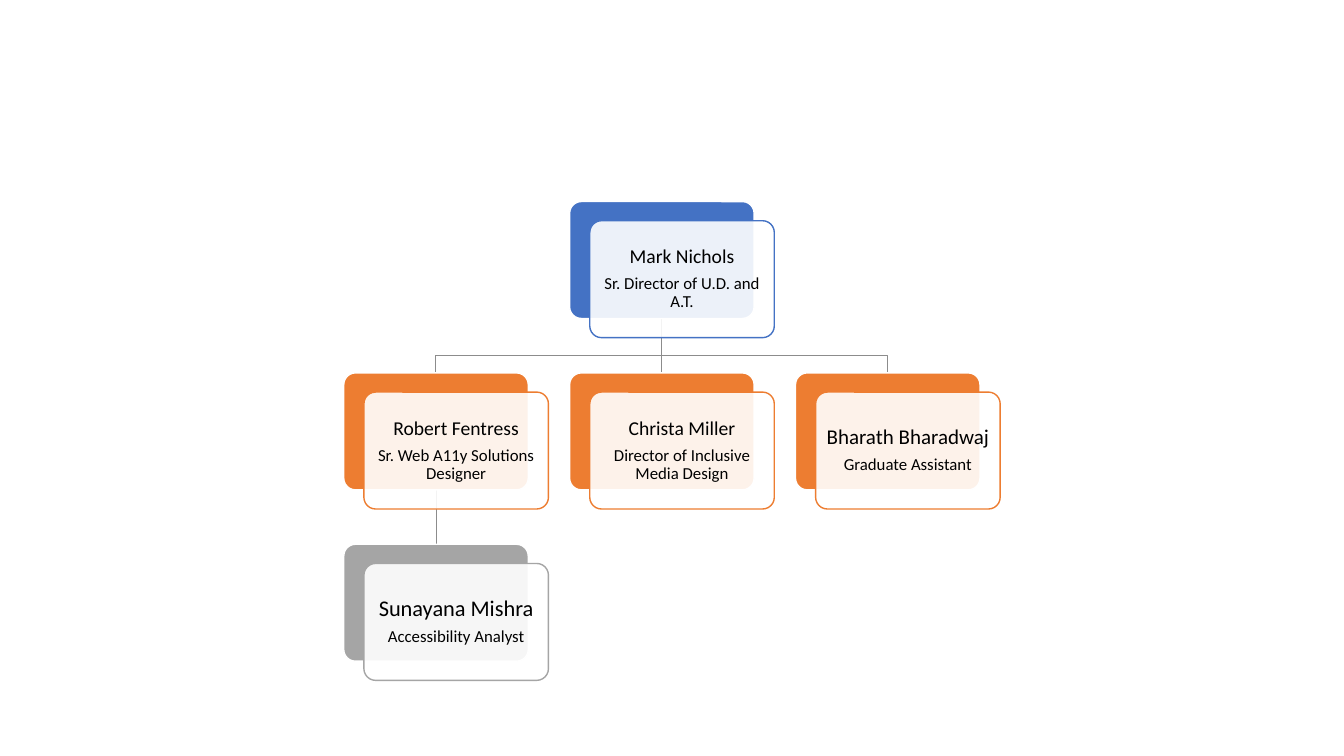
"""Draw a staff chart of layered cards joined by thin lines."""
from dataclasses import dataclass
from typing import Optional

from lxml.etree import SubElement
from pptx import Presentation
from pptx.dml.color import RGBColor as Rgb
from pptx.enum.shapes import MSO_CONNECTOR as Conn, MSO_SHAPE as Kind
from pptx.enum.text import MSO_ANCHOR as Anchor, PP_ALIGN as Align
from pptx.oxml.ns import qn
from pptx.util import Pt

PX = 9144
LEFT, TOP, STEP_X, STEP_Y = 341, 200, 224, 170
WIDE, HIGH = 183, 116
SHIFT_X, SHIFT_Y, BEND = 20, 19, 37
HUES = {"blue": "4472C4", "orange": "ED7D31", "gray": "A5A5A5",
        "white": "FFFFFF", "black": "000000", "link": "8C8C8C"}


@dataclass(frozen=True)
class Post:
    name: str
    role: str
    col: int
    row: int
    hue: str
    size: int = 14
    inset: int = 6
    boss: Optional["Post"] = None

    @property
    def x(self) -> int:
        return LEFT + self.col * STEP_X

    @property
    def y(self) -> int:
        return TOP + self.row * STEP_Y

    @property
    def mid(self) -> int:
        return self.x + WIDE // 2


HEAD = Post("Mark Nichols", "Sr. Director of U.D. and A.T.", 1, 0, "blue")
WEB = Post("Robert Fentress", "Sr. Web A11y Solutions Designer", 0, 1, "orange", boss=HEAD)
POSTS = [
    HEAD,
    WEB,
    Post("Sunayana Mishra", "Accessibility Analyst", 0, 2, "gray", 16, 7, WEB),
    Post("Christa Miller", "Director of Inclusive Media Design", 1, 1, "orange", boss=HEAD),
    Post("Bharath Bharadwaj", "Graduate Assistant", 2, 1, "orange", 15, boss=HEAD),
]


def tint(hue: str) -> Rgb:
    return Rgb.from_string(HUES[hue])


def edge(shape, hue: str, width: float) -> None:
    shape.line.color.rgb = tint(hue)
    shape.line.width = Pt(width)


def elbow(shapes, post: Post) -> None:
    boss = post.boss
    foot = boss.y + HIGH
    pen = shapes.build_freeform(boss.mid, foot, scale=PX)
    pen.add_line_segments([(boss.mid, foot + BEND), (post.mid, foot + BEND),
                           (post.mid, post.y)], close=False)
    bent = pen.convert_to_shape()
    bent.shadow.inherit = False
    bent.fill.background()
    edge(bent, "link", 0.75)


def straight(shapes):
    line = shapes.add_connector(Conn.STRAIGHT, 0, 0, 0, 0)
    edge(line, "link", 0.75)
    SubElement(line._element.spPr, qn("a:effectLst"))
    return line


def panel(shapes, x: int, y: int, fill: str, rim: str):
    card = shapes.add_shape(Kind.ROUNDED_RECTANGLE, x * PX, y * PX, WIDE * PX, HIGH * PX)
    card.adjustments[0] = 0.1
    card.shadow.inherit = False
    card.fill.solid()
    card.fill.fore_color.rgb = tint(fill)
    edge(card, rim, 1)
    return card


def label(card, post: Post) -> None:
    frame = card.text_frame
    frame.word_wrap = True
    frame.vertical_anchor = Anchor.MIDDLE
    frame.margin_left = frame.margin_right = post.inset * PX
    frame.margin_top = frame.margin_bottom = post.inset * PX
    frame.text = f"{post.name}\n{post.role}"
    for para, size in zip(frame.paragraphs, (post.size, 12)):
        para.alignment = Align.CENTER
        para.line_spacing = 0.9
        para.font.name = "Calibri"
        para.font.size = Pt(size)
        para.font.color.rgb = tint("black")
    frame.paragraphs[0].space_after = Pt(5)


def draw(shapes, post: Post):
    back = panel(shapes, post.x, post.y, post.hue, "white")
    front = panel(shapes, post.x + SHIFT_X, post.y + SHIFT_Y, "white", post.hue)
    shade = front.fill._xPr.find(qn("a:solidFill"))[0]
    SubElement(shade, qn("a:alpha"), val="90000")
    label(front, post)
    return back


def main() -> None:
    deck = Presentation()
    deck.slide_width, deck.slide_height = 1333 * PX, 750 * PX
    shapes = deck.slides.add_slide(deck.slide_layouts[6]).shapes
    lines = {}
    for post in POSTS:
        if post.boss and post.col == post.boss.col:
            lines[post] = straight(shapes)
        elif post.boss:
            elbow(shapes, post)
    cards = {post: draw(shapes, post) for post in POSTS}
    for post, line in lines.items():
        line.begin_connect(cards[post.boss], 2)
        line.end_connect(cards[post], 0)
    deck.save("out.pptx")


if __name__ == "__main__":
    main()
